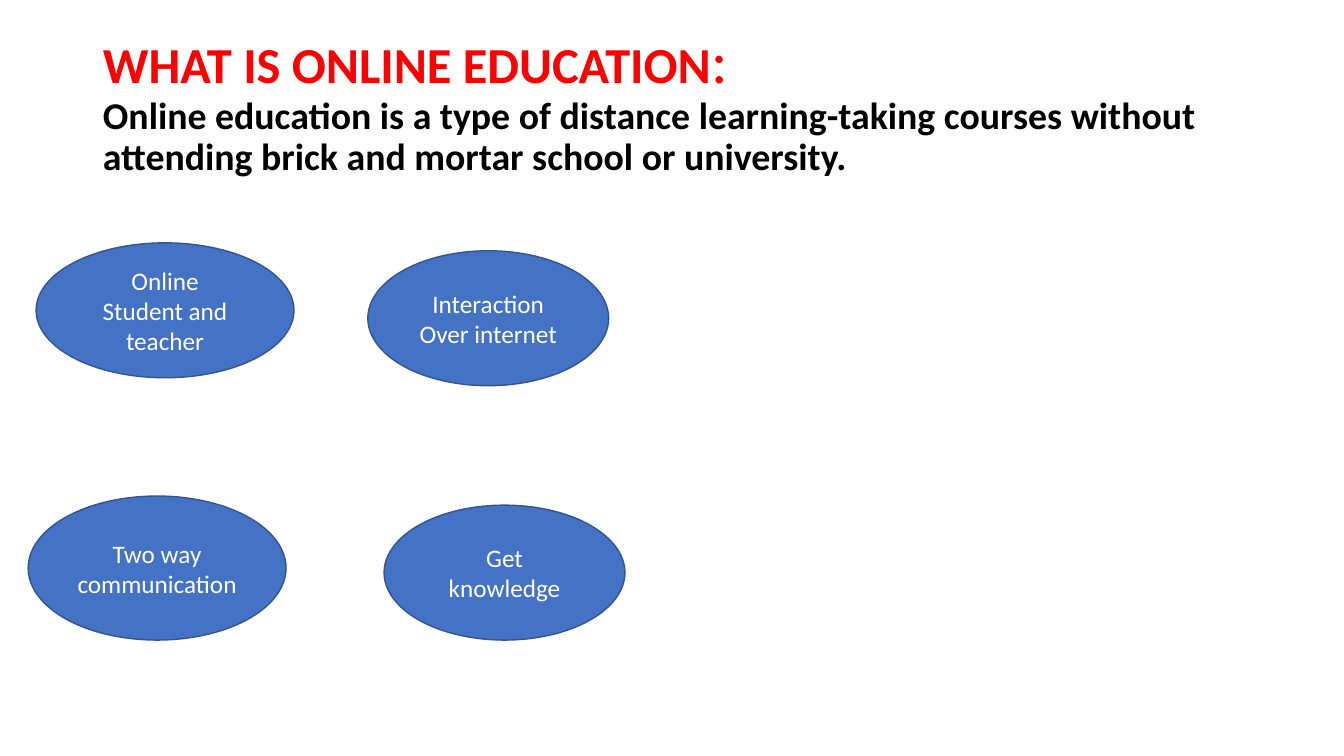
from collections import namedtuple
from dataclasses import dataclass

from pptx import Presentation
from pptx.dml.color import RGBColor
from pptx.enum.shapes import MSO_SHAPE
from pptx.enum.text import MSO_ANCHOR, MSO_AUTO_SIZE, PP_ALIGN
from pptx.util import Cm, Pt

OVAL = MSO_SHAPE.OVAL
BOTTOM, MIDDLE = MSO_ANCHOR.BOTTOM, MSO_ANCHOR.MIDDLE
LEFT, CENTER = PP_ALIGN.LEFT, PP_ALIGN.CENTER
NO_FIT = MSO_AUTO_SIZE.NONE
TITLE_ONLY = 5

Box = namedtuple("Box", "left top width height")


@dataclass(frozen=True)
class Theme:
    """Colours, font and type sizes of the deck."""

    font: str = "Calibri"
    heading: str = "FF0000"
    definition: str = "000000"
    fill: str = "4472C4"
    outline: str = "325491"
    label: str = "FFFFFF"
    heading_size: int = 36
    colon_size: int = 44
    definition_size: int = 27
    label_size: int = 18


THEME = Theme()
HEADING = "WHAT IS ONLINE EDUCATION"
DEFINITION = (
    "Online education is a type of distance learning-taking courses "
    "without attending brick and mortar school or university."
)
TITLE_BOX = Box(2.34, 2.67, 29.21, 1.83)
FEATURES = [
    (Box(0.91, 6.12, 6.5, 3.4), ["Online", "Student and", "teacher"]),
    (Box(9.27, 6.32, 6.07, 3.4), ["Interaction", "Over internet"]),
    (Box(0.71, 12.5, 6.5, 3.63), ["Two way", "communication"]),
    (Box(9.68, 12.73, 6.07, 3.4), ["Get", "knowledge"]),
]


def add_span(para, text, size, color, bold=False):
    """Append formatted text to a paragraph."""
    span = para.add_run()
    span.text = text
    span.font.name = THEME.font
    span.font.size = Pt(size)
    span.font.bold = bold
    span.font.color.rgb = RGBColor.from_string(color)


def build_title(page, box):
    """Set the heading and the definition, which rise from the foot of the box."""
    title = page.shapes.title
    title.left, title.top, title.width, title.height = map(Cm, box)
    frame = title.text_frame
    frame.auto_size = NO_FIT
    frame.word_wrap = True
    frame.vertical_anchor = BOTTOM
    frame.margin_bottom = Cm(0)
    para = frame.paragraphs[0]
    para.alignment = LEFT
    para.line_spacing = 0.9
    para.space_before = Pt(0)
    add_span(para, HEADING, THEME.heading_size, THEME.heading, bold=True)
    add_span(para, ":", THEME.colon_size, THEME.heading)
    para.add_line_break()
    add_span(para, DEFINITION, THEME.definition_size, THEME.definition, bold=True)


def build_feature(page, box, lines):
    """Draw one oval with its centred lines."""
    oval = page.shapes.add_shape(OVAL, *map(Cm, box))
    oval.shadow.inherit = False
    oval.fill.solid()
    oval.fill.fore_color.rgb = RGBColor.from_string(THEME.fill)
    oval.line.color.rgb = RGBColor.from_string(THEME.outline)
    oval.line.width = Pt(1)
    frame = oval.text_frame
    frame.word_wrap = True
    frame.vertical_anchor = MIDDLE
    for index, line in enumerate(lines):
        para = frame.add_paragraph() if index else frame.paragraphs[0]
        para.alignment = CENTER
        add_span(para, line, THEME.label_size, THEME.label)


def main():
    """Build the deck and save it."""
    deck = Presentation()
    deck.slide_width, deck.slide_height = Cm(33.87), Cm(19.05)
    page = deck.slides.add_slide(deck.slide_layouts[TITLE_ONLY])
    build_title(page, TITLE_BOX)
    for box, lines in FEATURES:
        build_feature(page, box, lines)
    deck.save("out.pptx")


main()
